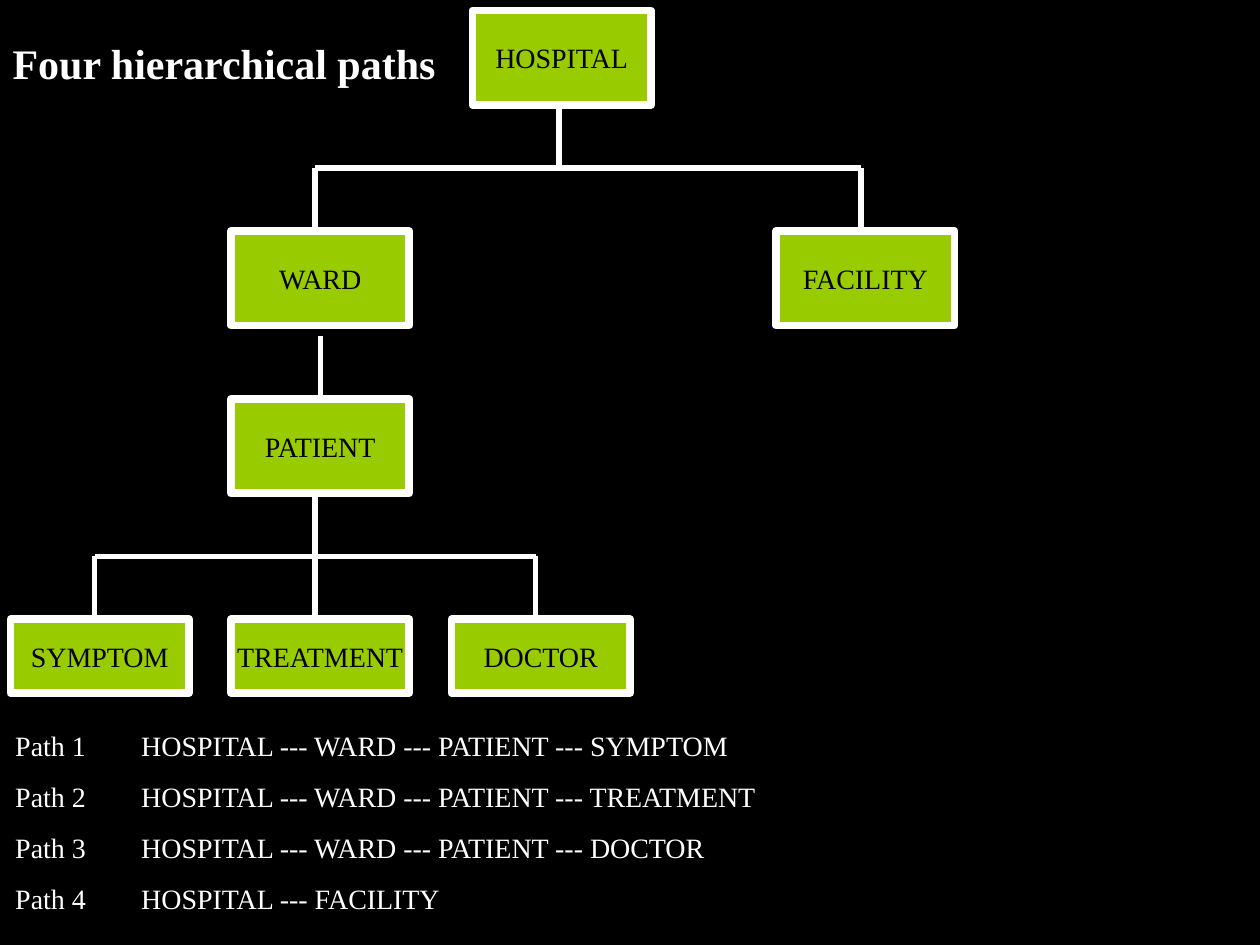
import pptx
import pptx.util
import pptx.dml.color
import pptx.enum.shapes
import pptx.enum.text
import pptx.oxml
import lxml.etree

Pt = pptx.util.Pt
RGBColor = pptx.dml.color.RGBColor
ALIGN = pptx.enum.text.PP_ALIGN
ANCHOR = pptx.enum.text.MSO_ANCHOR

BLACK = RGBColor(0x00, 0x00, 0x00)
WHITE = RGBColor(0xFF, 0xFF, 0xFF)
GREEN = RGBColor(0x99, 0xCC, 0x00)
FONT = "Times New Roman"

BOX_W = 102
BOXES = [
    ("HOSPITAL", 270, 6, 54),
    ("WARD", 132, 132, 54),
    ("FACILITY", 443.5, 132, 54),
    ("PATIENT", 132, 228, 54),
    ("SYMPTOM", 6, 354, 42),
    ("TREATMENT", 132, 354, 42),
    ("DOCTOR", 258, 354, 42),
]
PATHS = [
    ["HOSPITAL", "WARD", "PATIENT", "SYMPTOM"],
    ["HOSPITAL", "WARD", "PATIENT", "TREATMENT"],
    ["HOSPITAL", "WARD", "PATIENT", "DOCTOR"],
    ["HOSPITAL", "FACILITY"],
]
STEM = 36


def write(tf, lines, size=16, color=WHITE, bold=False, align=ALIGN.LEFT,
          anchor=ANCHOR.TOP, before=0, wrap=True):
    tf.auto_size = pptx.enum.text.MSO_AUTO_SIZE.NONE
    tf.word_wrap = wrap
    tf.vertical_anchor = anchor
    for i, line in enumerate(lines):
        p = tf.add_paragraph() if i else tf.paragraphs[0]
        p.alignment = align
        p.space_before = Pt(before)
        r = p.add_run()
        r.text = line
        r.font.name = FONT
        r.font.size = Pt(size)
        r.font.bold = bold
        r.font.color.rgb = color


def place(sp, x, y, w, h):
    sp.left, sp.top, sp.width, sp.height = Pt(x), Pt(y), Pt(w), Pt(h)


def remove_bullets(tf):
    for p in tf.paragraphs:
        pPr = p._p.get_or_add_pPr()
        pPr.set("marL", "0")
        pPr.set("indent", "0")
        lxml.etree.SubElement(pPr, pptx.oxml.ns.qn("a:buNone"))


def add_box(s, label, x, y, h):
    sp = s.shapes.add_shape(pptx.enum.shapes.MSO_SHAPE.RECTANGLE,
                            Pt(x), Pt(y), Pt(BOX_W), Pt(h))
    sp.shadow.inherit = False
    sp.fill.solid()
    sp.fill.fore_color.rgb = GREEN
    sp.line.color.rgb = WHITE
    sp.line.width = Pt(4.5)
    write(sp.text_frame, [label], color=BLACK, align=ALIGN.CENTER,
          anchor=ANCHOR.MIDDLE, wrap=False)


def add_line(s, x1, y1, x2, y2):
    sp = s.shapes.add_connector(pptx.enum.shapes.MSO_CONNECTOR.STRAIGHT,
                                Pt(x1), Pt(y1), Pt(x2), Pt(y2))
    sp.line.color.rgb = WHITE
    sp.line.width = Pt(3)
    lxml.etree.SubElement(sp._element.spPr, pptx.oxml.ns.qn("a:effectLst"))


def add_branch(s, parent_x, top, child_xs):
    bus = top + STEM
    add_line(s, parent_x, top, parent_x, bus)
    add_line(s, child_xs[0], bus, child_xs[-1], bus)
    for x in child_xs:
        add_line(s, x, bus, x, bus + STEM)


def main():
    prs = pptx.Presentation()
    prs.slide_width, prs.slide_height = Pt(720), Pt(540)
    s = prs.slides.add_slide(prs.slide_layouts[1])
    s.background.fill.solid()
    s.background.fill.fore_color.rgb = BLACK

    title, body = s.placeholders
    place(title, 0, 18, 282, 36)
    write(title.text_frame, ["Four hierarchical paths"], size=24, bold=True)
    place(body, 1.5, 412.5, 454.5, 143)
    write(body.text_frame,
          [f"Path {i}\t{' --- '.join(names)}" for i, names in enumerate(PATHS, 1)],
          before=10)
    remove_bullets(body.text_frame)

    for label, x, y, h in BOXES:
        add_box(s, label, x, y, h)
    add_branch(s, 319.5, 60, [180, 492])
    add_line(s, 183, 192, 183, 192 + STEM)
    add_branch(s, 180, 282, [54, 180, 306])
    prs.save("out.pptx")


if __name__ == "__main__":
    main()
